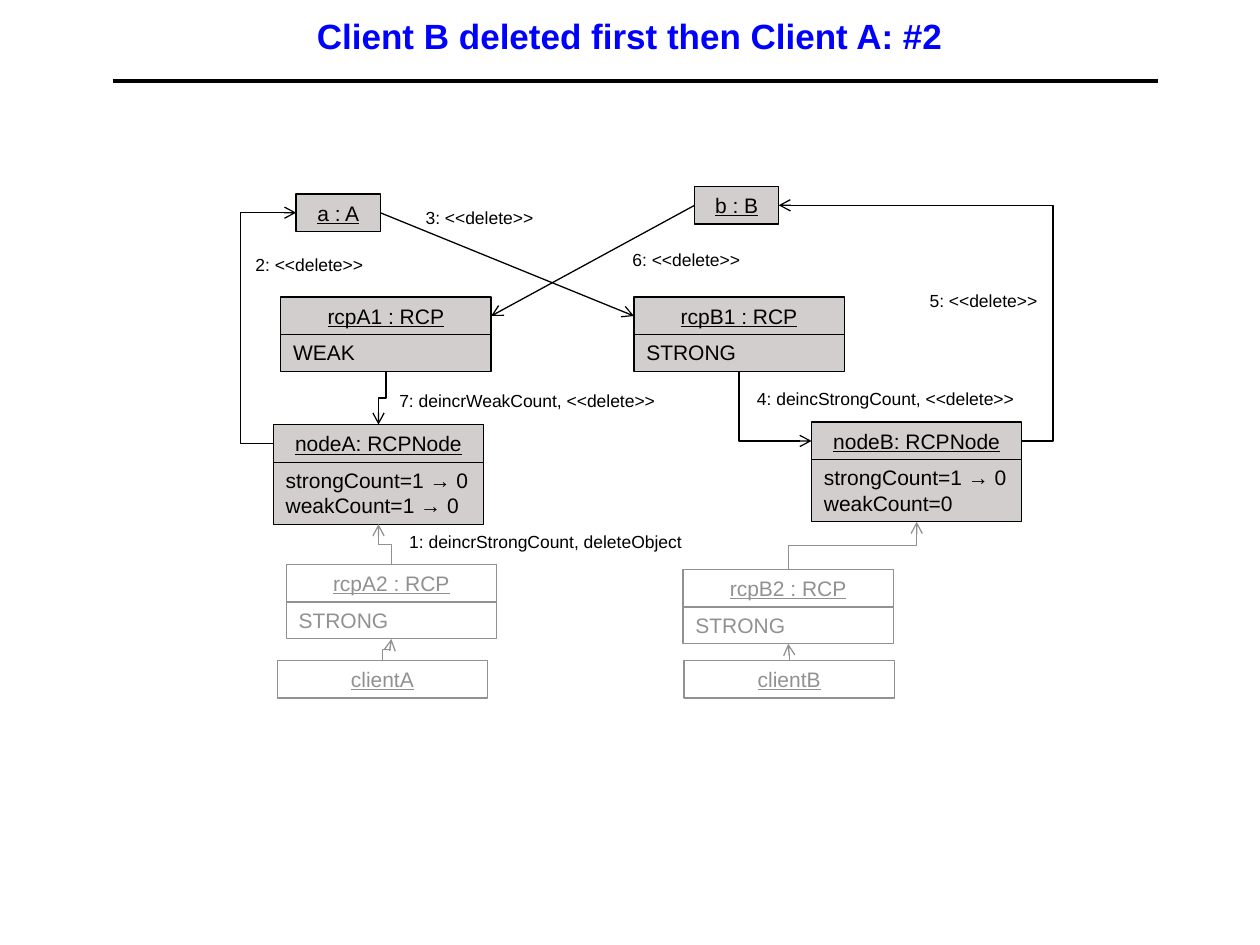
from lxml import etree
from pptx import Presentation
from pptx.dml.color import RGBColor
from pptx.enum.shapes import MSO_CONNECTOR, MSO_SHAPE
from pptx.enum.text import MSO_ANCHOR, MSO_AUTO_SIZE, PP_ALIGN
from pptx.oxml.ns import qn
from pptx.util import Cm, Pt

STRAIGHT, ELBOW = MSO_CONNECTOR.STRAIGHT, MSO_CONNECTOR.ELBOW
RECT = MSO_SHAPE.RECTANGLE
LEFT, CENTER = PP_ALIGN.LEFT, PP_ALIGN.CENTER
TOP, MIDDLE = MSO_ANCHOR.TOP, MSO_ANCHOR.MIDDLE
GROW, FIXED = MSO_AUTO_SIZE.SHAPE_TO_FIT_TEXT, MSO_AUTO_SIZE.NONE

# Content, lengths in cm
BLACK, SILVER, GRAY, WHITE, BLUE = "000000", "D1CECD", "919191", "FFFFFF", "0000FF"
TITLE = "Client B deleted first then Client A: #2"
SMALL, WIDE = 1.7, 4.24
HEAD_H, HEAD_STEP, LINE_H = 0.76, 0.74, 0.51

ACTIVE, FADED = (SILVER, BLACK), (WHITE, GRAY)
# name: (left, top, width, heading, attribute lines, (fill, ink))
OBJECTS = {
    "a": (5.97, 3.91, SMALL, "a : A", [], ACTIVE),
    "b": (14.0, 3.76, SMALL, "b : B", [], ACTIVE),
    "rcpA1": (5.66, 5.99, WIDE, "rcpA1 : RCP", ["WEAK"], ACTIVE),
    "rcpB1": (12.78, 5.99, WIDE, "rcpB1 : RCP", ["STRONG"], ACTIVE),
    "nodeA": (5.51, 8.56, WIDE, "nodeA: RCPNode",
              ["strongCount=1 → 0", "weakCount=1 → 0"], ACTIVE),
    "nodeB": (16.36, 8.51, WIDE, "nodeB: RCPNode",
              ["strongCount=1 → 0", "weakCount=0"], ACTIVE),
    "rcpA2": (5.77, 11.38, WIDE, "rcpA2 : RCP", ["STRONG"], FADED),
    "rcpB2": (13.77, 11.48, WIDE, "rcpB2 : RCP", ["STRONG"], FADED),
    "clientA": (5.59, 13.31, WIDE, "clientA", [], FADED),
    "clientB": (13.79, 13.31, WIDE, "clientB", [], FADED),
}

# (from, side, to, side, route, x of the outer bend)
ARROWS = [
    ("nodeA", "left", "a", "left", "across", 4.85),
    ("b", "left", "rcpA1", "right", "straight", None),
    ("a", "right", "rcpB1", "left", "straight", None),
    ("nodeB", "right", "b", "right", "across", 21.23),
    ("rcpA1", "bottom", "nodeA", "top", "down", None),
    ("rcpB1", "bottom", "nodeB", "left", "corner", None),
    ("rcpA2", "top", "nodeA", "bottom", "down", None),
    ("clientA", "top", "rcpA2", "bottom", "down", None),
    ("rcpB2", "top", "nodeB", "bottom", "down", None),
    ("clientB", "top", "rcpB2", "bottom", "down", None),
]

# (left, top, width, text)
MESSAGES = [
    (8.0, 10.59, 5.99, "1: deincrStrongCount, deleteObject"),
    (4.9, 5.0, 2.67, "2: <<delete>>"),
    (8.33, 4.04, 2.67, "3: <<delete>>"),
    (15.01, 7.7, 5.69, "4: deincStrongCount, <<delete>>"),
    (18.49, 5.72, 2.67, "5: <<delete>>"),
    (12.5, 4.9, 2.67, "6: <<delete>>"),
    (7.8, 7.74, 5.66, "7: deincrWeakCount, <<delete>>"),
]


def rgb(value):
    return RGBColor.from_string(value)


def write(sp, lines, size=12, color=BLACK, align=LEFT, anchor=TOP, wrap=True,
          fit=GROW, bold=False, underline=False):
    tf = sp.text_frame
    tf.word_wrap, tf.auto_size, tf.vertical_anchor = wrap, fit, anchor
    for i, line in enumerate(lines):
        p = tf.add_paragraph() if i else tf.paragraphs[0]
        p.alignment = align
        r = p.add_run()
        r.text = line
        r.font.name, r.font.size = "Arial", Pt(size)
        r.font.bold, r.font.underline = bold, underline
        r.font.color.rgb = rgb(color)


def add_box(s, x, y, w, h, lines, fill, ink, **fmt):
    sp = s.shapes.add_shape(RECT, Cm(x), Cm(y), Cm(w), Cm(h))
    sp.shadow.inherit = False
    sp.fill.solid()
    sp.fill.fore_color.rgb = rgb(fill)
    sp.line.color.rgb = rgb(ink)
    sp.line.width = Pt(0.75)
    write(sp, lines, color=ink, **fmt)


def add_line(s, kind, x0, y0, x1, y1, color, width=0.75, arrow=True):
    cx = s.shapes.add_connector(kind, Cm(x0), Cm(y0), Cm(x1), Cm(y1))
    cx.line.color.rgb = rgb(color)
    cx.line.width = Pt(width)
    if arrow:
        etree.SubElement(cx.line._get_or_add_ln(), qn("a:tailEnd"), type="arrow")
    etree.SubElement(cx._element.spPr, qn("a:effectLst"))
    return cx


def add_vertical_elbow(s, x0, y0, x1, y1, color):
    """Elbow that leaves its start vertically: a sideways one, turned."""
    mx, my = (x0 + x1) / 2, (y0 + y1) / 2
    turn = 90 if y1 > y0 else 270
    half_w = abs(y1 - y0) / 2
    half_h = (x0 - x1) / 2 if turn == 90 else (x1 - x0) / 2
    cx = add_line(s, ELBOW, mx - half_w, my - half_h, mx + half_w, my + half_h, color)
    cx._element.spPr.find(qn("a:xfrm")).set("rot", str(turn * 60000))
    return cx


def anchor_point(name, side):
    x, y, w, _, lines, _ = OBJECTS[name]
    bottom = y + (HEAD_STEP + body_height(lines) if lines else HEAD_H)
    return {"left": (x, y + HEAD_H / 2), "right": (x + w, y + HEAD_H / 2),
            "top": (x + w / 2, y), "bottom": (x + w / 2, bottom)}[side]


def body_height(lines):
    return HEAD_H + LINE_H * (len(lines) - 1)


prs = Presentation()
prs.slide_width, prs.slide_height = Cm(25.4), Cm(19.05)
s = prs.slides.add_slide(prs.slide_layouts[6])

# Title and rule
add_line(s, STRAIGHT, 2.27, 1.63, 23.34, 1.63, BLACK, width=2, arrow=False)
title = s.shapes.add_textbox(Cm(1.9), Cm(0), Cm(21.6), Cm(1.43))
write(title, [TITLE], size=20, color=BLUE, align=CENTER, anchor=MIDDLE,
      fit=FIXED, bold=True)

# Objects
for x, y, w, heading, lines, (fill, ink) in OBJECTS.values():
    if lines:
        add_box(s, x, y + HEAD_STEP, w, body_height(lines), lines, fill, ink)
    add_box(s, x, y, w, HEAD_H, [heading], fill, ink, align=CENTER, underline=True)

# Arrows
for start, side0, end, side1, route, bend in ARROWS:
    x0, y0 = anchor_point(start, side0)
    x1, y1 = anchor_point(end, side1)
    ink = OBJECTS[start][5][1]
    if route == "straight":
        add_line(s, STRAIGHT, x0, y0, x1, y1, ink)
    elif route == "across":
        cx = add_line(s, ELBOW, x0, y0, x1, y1, ink)
        adj = round((bend - x0) / (x1 - x0) * 100000)
        av = cx._element.spPr.find(qn("a:prstGeom")).get_or_add_avLst()
        etree.SubElement(av, qn("a:gd"), name="adj1", fmla=f"val {adj}")
    else:
        cx = add_vertical_elbow(s, x0, y0, x1, y1, ink)
        if route == "corner":
            cx._element.spPr.find(qn("a:prstGeom")).set("prst", "bentConnector2")

# Messages
for x, y, w, text in MESSAGES:
    label = s.shapes.add_textbox(Cm(x), Cm(y), Cm(w), Cm(0.68))
    write(label, [text], size=10, wrap=False)

prs.save("out.pptx")
